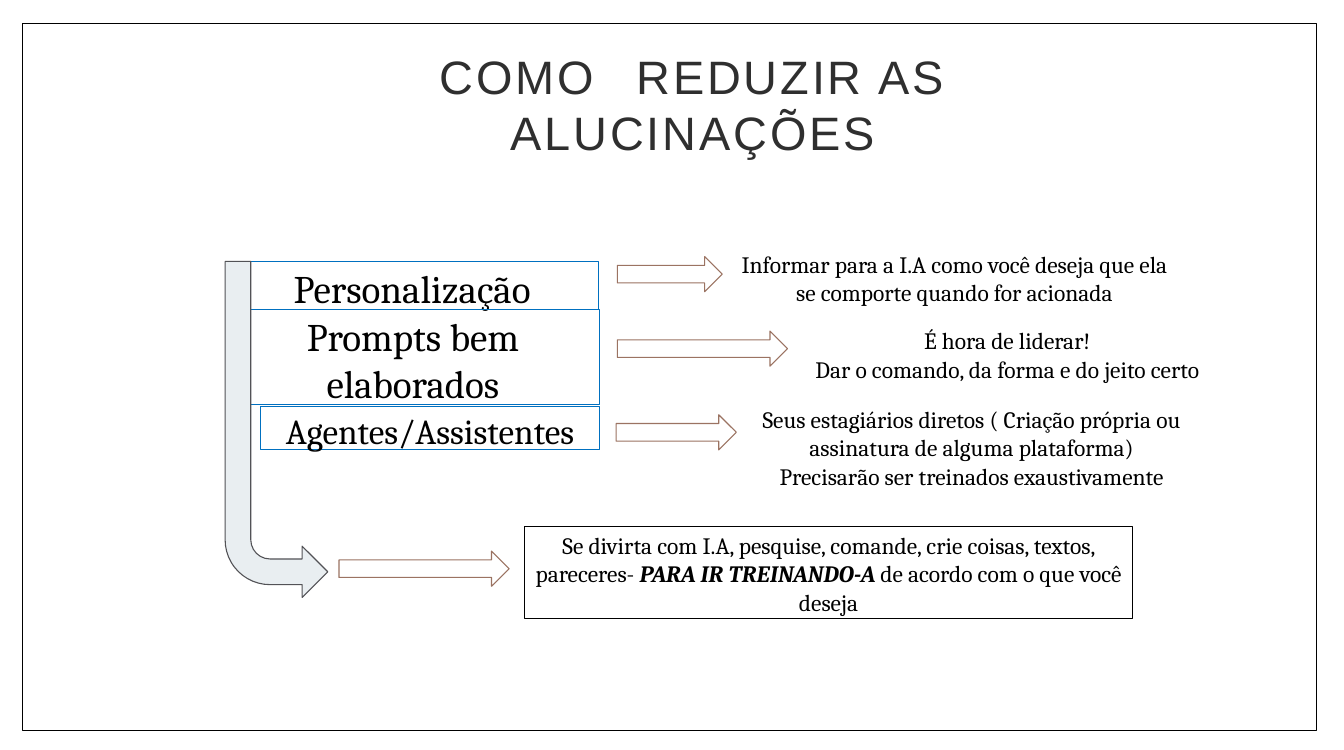
from typing import NamedTuple

from pptx import Presentation
from pptx.dml.color import RGBColor
from pptx.enum.shapes import MSO_SHAPE
from pptx.enum.text import MSO_ANCHOR, PP_ALIGN
from pptx.oxml.ns import qn
from pptx.util import Inches, Pt

RECTANGLE = MSO_SHAPE.RECTANGLE
RIGHT_ARROW = MSO_SHAPE.RIGHT_ARROW
BENT_ARROW = MSO_SHAPE.BENT_ARROW
CENTER = PP_ALIGN.CENTER
TOP, BOTTOM = MSO_ANCHOR.TOP, MSO_ANCHOR.BOTTOM

BLACK = RGBColor(0x00, 0x00, 0x00)
WHITE = RGBColor(0xFF, 0xFF, 0xFF)
TITLE_GREY = RGBColor(0x2F, 0x2F, 0x2F)
BLUE = RGBColor(0x00, 0x70, 0xC0)
BROWN = RGBColor(0x9B, 0x73, 0x62)
PALE_GREY = RGBColor(0xE9, 0xEE, 0xF1)
DARK_GREY = RGBColor(0x52, 0x52, 0x56)

# The grid has 100 columns and 100 rows.
WIDTH, HEIGHT = Inches(19.11), Inches(10.67)
COLUMN, ROW = WIDTH / 100, HEIGHT / 100


class Area(NamedTuple):
    column: float
    row: float
    columns: float
    rows: float

    def emu(self) -> tuple[int, int, int, int]:
        return (round(self.column * COLUMN), round(self.row * ROW),
                round(self.columns * COLUMN), round(self.rows * ROW))


class Span(NamedTuple):
    text: str
    strong: bool = False
    spacing: float = 0


class Topic(NamedTuple):
    label: str
    size: int
    box: Area
    arrow: Area
    advice_area: Area
    advice: list[str]


LETTER_SPACING = 2.94
TITLE = [
    Span("COMO", spacing=LETTER_SPACING),
    Span(" ", spacing=27.3),
    Span("REDUZIR", spacing=LETTER_SPACING),
    Span(" ", spacing=-5.2),
    Span("AS", spacing=LETTER_SPACING),
    Span(" ", spacing=35.5),
    Span("ALUCINAÇÕES", spacing=LETTER_SPACING),
]

TOPICS = [
    Topic("Personalização", 40, Area(16.8, 34.86, 27.73, 6.47),
          Area(45.94, 34.21, 7.8, 4.69), Area(54.58, 32.71, 32.86, 8.53),
          ["Informar para a I.A como você deseja que ela se comporte "
           "quando for acionada"]),
    Topic("Prompts bem elaborados", 40, Area(16.8, 41.24, 27.84, 12.75),
          Area(45.94, 44.14, 12.66, 4.69), Area(58.56, 42.83, 32.76, 8.62),
          ["É hora de liderar!", "Dar o comando, da forma e do jeito certo"]),
    Topic("Agentes/Assistentes", 36, Area(19.41, 54.17, 25.17, 5.81),
          Area(45.84, 55.3, 8.95, 4.69), Area(54.84, 53.33, 34.9, 12.46),
          ["Seus estagiários diretos ( Criação própria ou assinatura de "
           "alguma plataforma)", "Precisarão ser treinados exaustivamente"]),
]

CLOSING = [
    Span("Se divirta com I.A, pesquise, comande, crie coisas, textos, pareceres- "),
    Span("PARA IR TREINANDO-A ", strong=True),
    Span("de acordo com o que você deseja"),
]


def draw_shape(slide, kind, area: Area, line: RGBColor, points: float, fill=None):
    shape = slide.shapes.add_shape(kind, *area.emu())
    shape.shadow.inherit = False
    if fill is None:
        shape.fill.background()
    else:
        shape.fill.solid()
        shape.fill.fore_color.rgb = fill
    shape.line.color.rgb = line
    shape.line.width = Pt(points)
    return shape


def write(shape, paragraphs: list[list[Span]], size: int, font: str = "Cambria",
          colour: RGBColor = BLACK, side: float = 0.1, top: float = 0.07,
          anchor=TOP) -> None:
    """Fill a shape with centred text; side and top are insets in inches."""
    frame = shape.text_frame
    frame.word_wrap = True
    frame.vertical_anchor = anchor
    frame.margin_left = frame.margin_right = Inches(side)
    frame.margin_top, frame.margin_bottom = Inches(top), 0
    for index, spans in enumerate(paragraphs):
        paragraph = frame.add_paragraph() if index else frame.paragraphs[0]
        paragraph.alignment = CENTER
        if index:
            paragraph.space_before = Pt(1.2)
        for span in spans:
            run = paragraph.add_run()
            run.text = span.text
            run.font.name, run.font.size = font, Pt(size)
            run.font.color.rgb = colour
            run.font.bold = run.font.italic = span.strong
            if span.spacing:
                run.font._element.set("spc", str(round(span.spacing * 100)))


def draw_arrow(slide, area: Area) -> None:
    draw_shape(slide, RIGHT_ARROW, area, BROWN, 1.1, WHITE)


def draw_topic(slide, topic: Topic) -> None:
    box = draw_shape(slide, RECTANGLE, topic.box, BLUE, 1)
    write(box, [[Span(topic.label)]], topic.size, side=0, top=0.04)
    draw_arrow(slide, topic.arrow)
    advice = slide.shapes.add_textbox(*topic.advice_area.emu())
    write(advice, [[Span(text)] for text in topic.advice], 24)


def main() -> None:
    presentation = Presentation()
    presentation.slide_width, presentation.slide_height = WIDTH, HEIGHT
    slide = presentation.slides.add_slide(presentation.slide_layouts[6])

    draw_shape(slide, RECTANGLE, Area(1.65, 3.19, 96.32, 94.2), BLACK, 1)
    title = slide.shapes.add_textbox(*Area(17.9, 6.19, 67.3, 15.18).emu())
    write(title, [TITLE], 48, "Arial", TITLE_GREY, side=0, anchor=BOTTOM)

    for topic in TOPICS:
        draw_topic(slide, topic)

    bent_arrow = draw_shape(slide, BENT_ARROW, Area(16.75, 34.86, 7.64, 44.8),
                            DARK_GREY, 1.1, PALE_GREY)
    bent_arrow.rotation = 180
    bent_arrow._element.spPr.find(qn("a:xfrm")).set("flipH", "1")

    draw_arrow(slide, Area(25.22, 73.48, 12.66, 4.69))
    closing = draw_shape(slide, RECTANGLE, Area(39.04, 70.2, 45.21, 12.28), BLACK, 0.5)
    write(closing, [CLOSING], 24)

    presentation.save("out.pptx")


if __name__ == "__main__":
    main()
